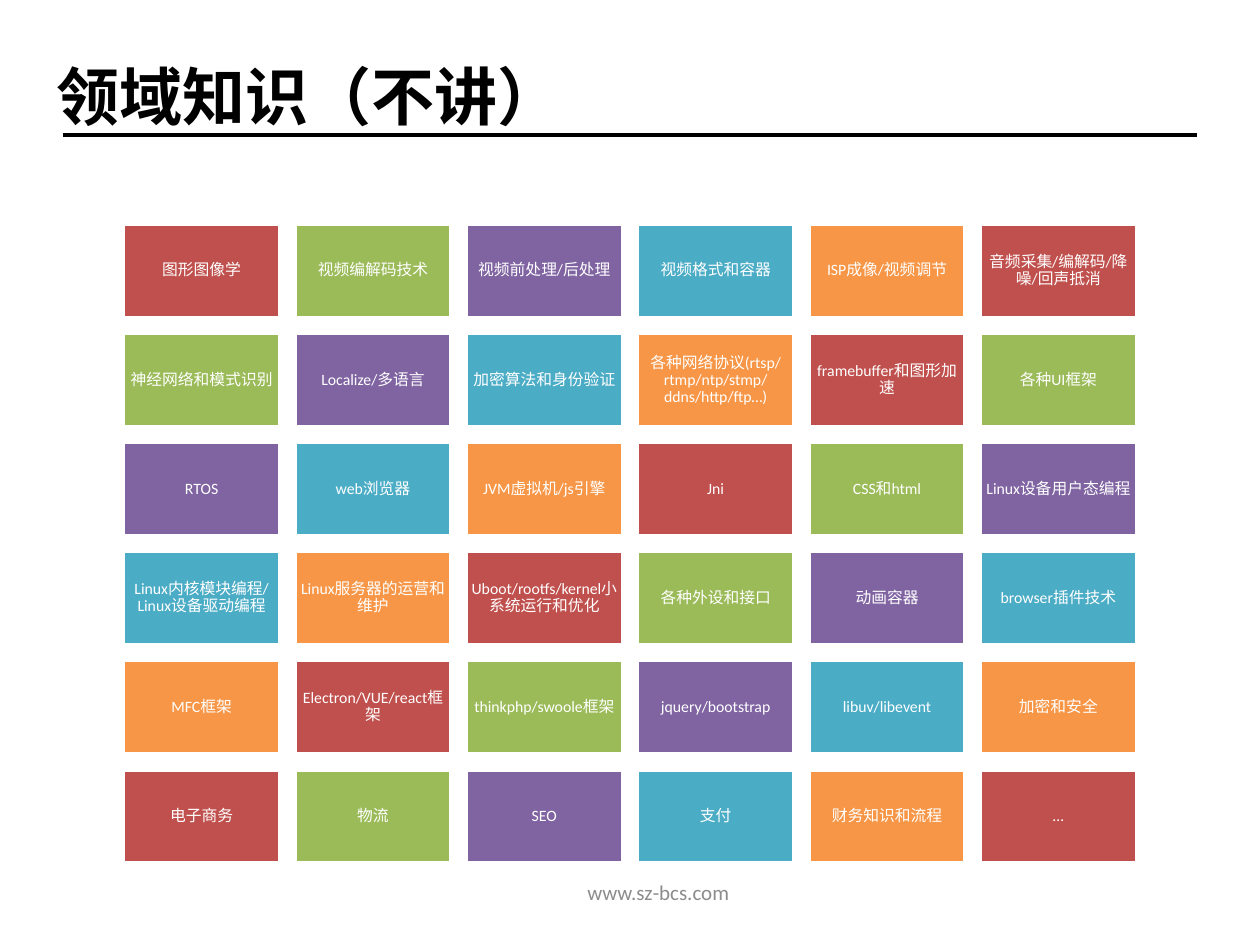
import lxml.etree
import pptx
import pptx.dml.color
import pptx.enum.shapes
import pptx.enum.text
import pptx.oxml.ns
import pptx.util
from pptx.util import Inches

COLOURS = {
    "red": "C0504D", "green": "9BBB59", "purple": "8064A2",
    "teal": "4BACC6", "orange": "F79646",
    "black": "000000", "white": "FFFFFF", "grey": "8C8C8C",
}
TILE_CYCLE = ["red", "green", "purple", "teal", "orange"]
TOPICS = [
    "图形图像学", "视频编解码技术", "视频前处理/后处理",
    "视频格式和容器", "ISP成像/视频调节", "音频采集/编解码/降噪/回声抵消",
    "神经网络和模式识别", "Localize/多语言", "加密算法和身份验证",
    "各种网络协议(rtsp/rtmp/ntp/stmp/ddns/http/ftp…)",
    "framebuffer和图形加速", "各种UI框架",
    "RTOS", "web浏览器", "JVM虚拟机/js引擎",
    "Jni", "CSS和html", "Linux设备用户态编程",
    "Linux内核模块编程/Linux设备驱动编程", "Linux服务器的运营和维护",
    "Uboot/rootfs/kernel小系统运行和优化",
    "各种外设和接口", "动画容器", "browser插件技术",
    "MFC框架", "Electron/VUE/react框架", "thinkphp/swoole框架",
    "jquery/bootstrap", "libuv/libevent", "加密和安全",
    "电子商务", "物流", "SEO", "支付", "财务知识和流程", "…",
]
COLUMNS = 6
GRID_LEFT, GRID_TOP = 0.98, 1.78
COLUMN_STEP = 1.36
ROW_STEP = (6.11 - GRID_TOP) / 5
TILE_WIDTH, TILE_HEIGHT = 1.24, 0.74


def colour(name):
    return pptx.dml.color.RGBColor.from_string(COLOURS[name])


class PageBuilder:
    font_name = "Calibri"
    centre = pptx.enum.text.PP_ALIGN.CENTER
    left = pptx.enum.text.PP_ALIGN.LEFT

    def __init__(self, page):
        self.page = page

    def set_text(self, box, text, size, ink, align, bold=False, spacing=1.0, inset=None):
        frame = box.text_frame
        frame.text = text
        frame.word_wrap = True
        frame.auto_size = pptx.enum.text.MSO_AUTO_SIZE.NONE
        frame.vertical_anchor = pptx.enum.text.MSO_ANCHOR.MIDDLE
        if inset is not None:
            for side in ("left", "top", "right", "bottom"):
                setattr(frame, f"margin_{side}", Inches(inset))
        para = frame.paragraphs[0]
        para.alignment = align
        para.line_spacing = spacing
        font = para.runs[0].font
        formats = {"name": self.font_name, "size": pptx.util.Pt(size), "bold": bold}
        for name, value in formats.items():
            setattr(font, name, value)
        font.color.rgb = colour(ink)

    def title(self, text, left, top, width, height):
        box = self.page.shapes.title
        places = {"left": left, "top": top, "width": width, "height": height}
        for name, value in places.items():
            setattr(box, name, Inches(value))
        self.set_text(box, text, 36, "black", self.left, bold=True)

    def rule(self, left, right, top):
        line = self.page.shapes.add_connector(
            pptx.enum.shapes.MSO_CONNECTOR.STRAIGHT,
            Inches(left), Inches(top), Inches(right), Inches(top))
        line.line.color.rgb = colour("black")
        line.line.width = pptx.util.Pt(2)
        lxml.etree.SubElement(line._element.spPr, pptx.oxml.ns.qn("a:effectLst"))

    def label(self, text, left, top, width, height):
        box = self.page.shapes.add_textbox(
            Inches(left), Inches(top), Inches(width), Inches(height))
        self.set_text(box, text, 12, "grey", self.centre)

    def tile(self, text, left, top, fill):
        box = self.page.shapes.add_shape(
            pptx.enum.shapes.MSO_SHAPE.RECTANGLE, Inches(left), Inches(top),
            Inches(TILE_WIDTH), Inches(TILE_HEIGHT))
        box.shadow.inherit = False
        box.fill.solid()
        box.fill.fore_color.rgb = colour(fill)
        box.line.color.rgb = colour("white")
        box.line.width = pptx.util.Pt(2)
        self.set_text(box, text, 9, "white", self.centre, spacing=0.9, inset=0.04)


def main():
    deck = pptx.Presentation()
    deck.slide_width, deck.slide_height = Inches(10), Inches(7.5)
    builder = PageBuilder(deck.slides.add_slide(deck.slide_layouts[5]))
    builder.rule(0.5, 9.5, 1.07)
    builder.label("www.sz-bcs.com", 3.64, 6.88, 3.17, 0.4)
    builder.title("领域知识（不讲）", 0.35, 0.29, 6.14, 0.94)
    for index, topic in enumerate(TOPICS):
        row, column = divmod(index, COLUMNS)
        builder.tile(topic, GRID_LEFT + column * COLUMN_STEP,
                     GRID_TOP + row * ROW_STEP,
                     TILE_CYCLE[index % len(TILE_CYCLE)])
    deck.save("out.pptx")


if __name__ == "__main__":
    main()
